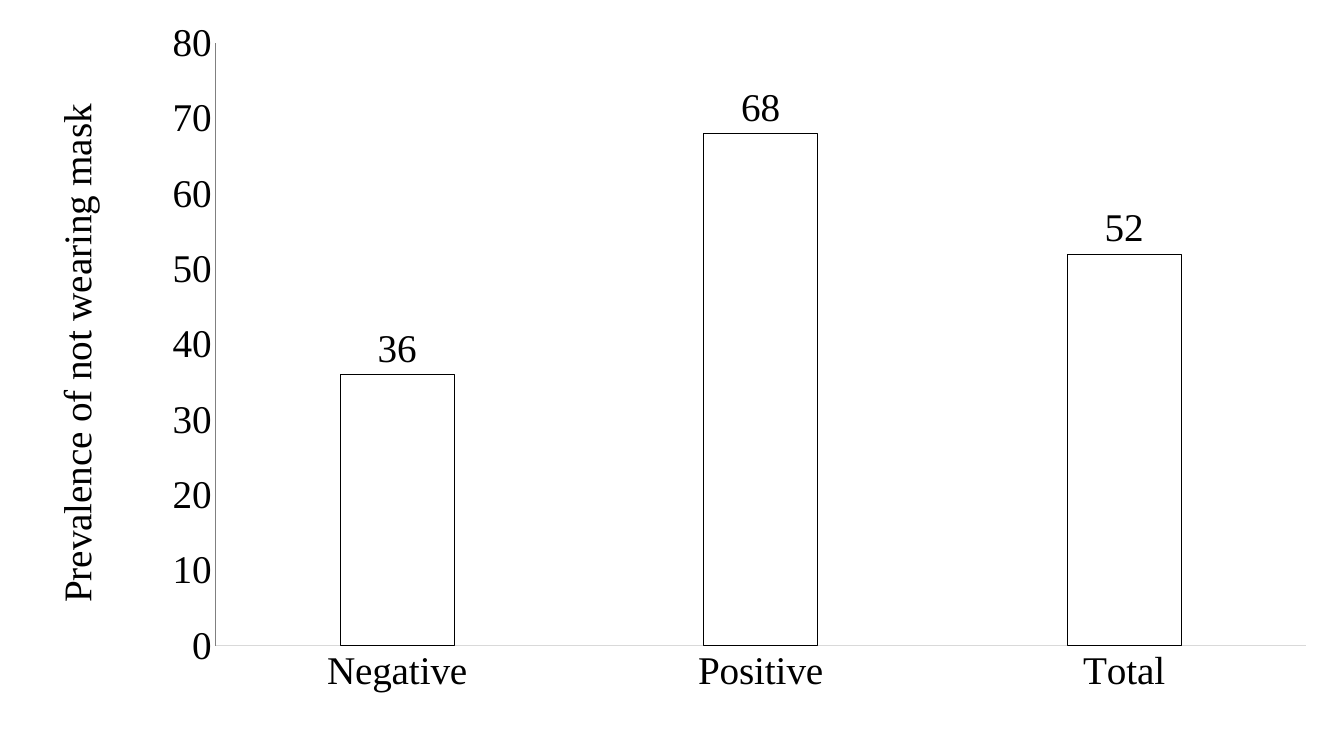
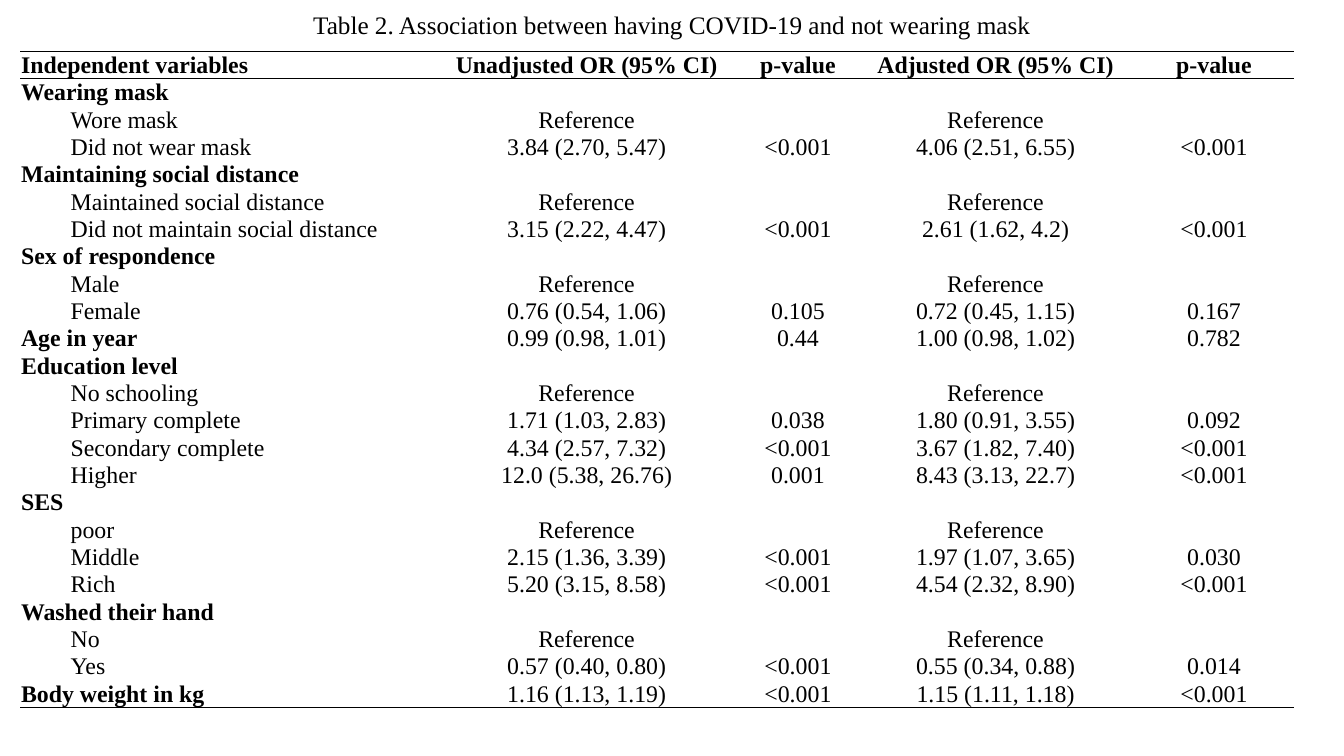
from dataclasses import dataclass
from typing import Any, NamedTuple

from lxml.etree import SubElement
from pptx import Presentation
from pptx.chart.data import CategoryChartData
from pptx.dml.color import RGBColor
from pptx.enum.chart import XL_CHART_TYPE as ChartType
from pptx.enum.chart import XL_LABEL_POSITION as LabelPosition
from pptx.enum.chart import XL_TICK_MARK as TickMark
from pptx.enum.text import MSO_ANCHOR as Anchor
from pptx.enum.text import PP_ALIGN as Align
from pptx.oxml.ns import qn
from pptx.util import Cm, Pt


@dataclass(frozen=True)
class Theme:
    face: str = "Times New Roman"
    ink: str = "000000"
    paper: str = "FFFFFF"
    value_line: str = "808080"
    category_line: str = "D9D9D9"
    chart_size: int = 28
    title_size: int = 18
    table_size: int = 17
    thin: float = 0.75
    rule: float = 1


class Box(NamedTuple):
    left: float
    top: float
    width: float
    height: float

    def lengths(self) -> list[Cm]:
        return [Cm(value) for value in self]


class Row(NamedTuple):
    label: str
    unadjusted: str = ""
    unadjusted_p: str = ""
    adjusted: str = ""
    adjusted_p: str = ""
    indented: bool = False


def level(label: str, *results: str) -> Row:
    values = results or ("Reference", "", "Reference", "")
    return Row(label, *values, indented=True)


THEME = Theme()
CHART_BOX = Box(0.61, 0.36, 32.69, 17.83)
PLOT_BOX = Box(4.82, 0.73, 27.48, 15.19)
AXIS_TITLE_CORNER = (0.52, 2.09)
TITLE_BOX = Box(0, 0, 33.87, 1.09)
TABLE_LEFT, TABLE_TOP, ROW_HEIGHT = 0.51, 1.29, 0.69
COLUMN_WIDTHS = (1.25, 9.2, 7.65, 3, 6.96, 4.05)
PREVALENCE = {"Negative": 36, "Positive": 68, "Total": 52}
NO_GRID_STYLE = "{2D5ABB26-0587-4C30-8999-92F81FD0307C}"

ROWS = (
    Row("Independent variables", "Unadjusted OR (95% CI)", "p-value",
        "Adjusted OR (95% CI)", "p-value"),
    Row("Wearing mask"),
    level("Wore mask"),
    level("Did not wear mask", "3.84 (2.70, 5.47)", "<0.001", "4.06 (2.51, 6.55)", "<0.001"),
    Row("Maintaining social distance"),
    level("Maintained social distance"),
    level("Did not maintain social distance", "3.15 (2.22, 4.47)", "<0.001",
          "2.61 (1.62, 4.2)", "<0.001"),
    Row("Sex of respondence"),
    level("Male"),
    level("Female", "0.76 (0.54, 1.06)", "0.105", "0.72 (0.45, 1.15)", "0.167"),
    Row("Age in year", "0.99 (0.98, 1.01)", "0.44", "1.00 (0.98, 1.02)", "0.782"),
    Row("Education level"),
    level("No schooling"),
    level("Primary complete", "1.71 (1.03, 2.83)", "0.038", "1.80 (0.91, 3.55)", "0.092"),
    level("Secondary complete", "4.34 (2.57, 7.32)", "<0.001", "3.67 (1.82, 7.40)", "<0.001"),
    level("Higher", "12.0 (5.38, 26.76)", "0.001", "8.43 (3.13, 22.7)", "<0.001"),
    Row("SES"),
    level("poor"),
    level("Middle", "2.15 (1.36, 3.39)", "<0.001", "1.97 (1.07, 3.65)", "0.030"),
    level("Rich", "5.20 (3.15, 8.58)", "<0.001", "4.54 (2.32, 8.90)", "<0.001"),
    Row("Washed their hand"),
    level("No"),
    level("Yes", "0.57 (0.40, 0.80)", "<0.001", "0.55 (0.34, 0.88)", "0.014"),
    Row("Body weight in kg", "1.16 (1.13, 1.19)", "<0.001", "1.15 (1.11, 1.18)", "<0.001"),
)


def assign(target: Any, values: dict[str, Any]) -> None:
    for name, value in values.items():
        setattr(target, name, value)


def style_font(font: Any, size: float, bold: bool = False) -> None:
    assign(font, {"name": THEME.face, "size": Pt(size), "bold": bold})
    font.color.rgb = RGBColor.from_string(THEME.ink)


def style_line(line: Any, color: str) -> None:
    line.color.rgb = RGBColor.from_string(color)
    line.width = Pt(THEME.thin)


def place_in_chart(parent: Any, position: int, area: tuple[float, ...]) -> None:
    previous = parent.find(qn("c:layout"))
    if previous is not None:
        parent.remove(previous)
    layout = parent.makeelement(qn("c:layout"), {})
    parent.insert(position, layout)
    manual = SubElement(layout, qn("c:manualLayout"))
    values = {"layoutTarget": "inner"} if len(area) == 4 else {}
    values |= {"xMode": "edge", "yMode": "edge"}
    extents = (CHART_BOX.width, CHART_BOX.height) * 2
    for tag, length, extent in zip("xywh", area, extents):
        values[tag] = str(length / extent)
    for tag, value in values.items():
        SubElement(manual, qn(f"c:{tag}")).set("val", value)


def style_axis(axis: Any, line_color: str) -> None:
    assign(axis, {
        "has_major_gridlines": False,
        "major_tick_mark": TickMark.NONE,
        "minor_tick_mark": TickMark.NONE,
    })
    style_font(axis.tick_labels.font, THEME.chart_size)
    style_line(axis.format.line, line_color)


def add_prevalence_chart(slide: Any) -> None:
    data = CategoryChartData(number_format="0")
    data.categories = list(PREVALENCE)
    data.add_series("Series 1", list(PREVALENCE.values()))
    frame = slide.shapes.add_chart(ChartType.COLUMN_CLUSTERED, *CHART_BOX.lengths(), data)
    chart = frame.chart
    assign(chart, {"has_title": False, "has_legend": False})
    style_font(chart.font, THEME.chart_size)

    style_axis(chart.category_axis, THEME.category_line)
    prevalence_axis = chart.value_axis
    style_axis(prevalence_axis, THEME.value_line)
    assign(prevalence_axis, {"minimum_scale": 0, "maximum_scale": 80, "major_unit": 10})
    assign(prevalence_axis.tick_labels, {"number_format": "0", "number_format_is_linked": False})
    axis_title = prevalence_axis.axis_title
    caption = axis_title.text_frame.paragraphs[0].add_run()
    caption.text = "Prevalence of not wearing mask"
    style_font(caption.font, THEME.chart_size)
    place_in_chart(axis_title._element, 1, AXIS_TITLE_CORNER)

    columns = chart.plots[0]
    assign(columns, {"gap_width": 219, "overlap": -27, "vary_by_categories": False,
                     "has_data_labels": True})
    assign(columns.data_labels, {
        "show_value": True,
        "number_format": "0",
        "number_format_is_linked": False,
        "position": LabelPosition.OUTSIDE_END,
    })
    style_font(columns.data_labels.font, THEME.chart_size)
    bars = columns.series[0].format
    bars.fill.solid()
    bars.fill.fore_color.rgb = RGBColor.from_string(THEME.paper)
    style_line(bars.line, THEME.ink)

    plot_area = chart._chartSpace.find(f".//{qn('c:plotArea')}")
    place_in_chart(plot_area, 0, PLOT_BOX)


def add_title(slide: Any, text: str) -> None:
    title = slide.shapes.title
    assign(title, dict(zip(("left", "top", "width", "height"), TITLE_BOX.lengths())))
    assign(title.text_frame, {"vertical_anchor": Anchor.TOP, "word_wrap": True})
    paragraph = title.text_frame.paragraphs[0]
    assign(paragraph, {"alignment": Align.CENTER, "line_spacing": 1.15, "space_after": Pt(10)})
    run = paragraph.add_run()
    run.text = text
    style_font(run.font, THEME.title_size)


def rule_cell(cell: Any, edges: tuple[str, ...]) -> None:
    properties = cell._tc.get_or_add_tcPr()
    for position, edge in enumerate(edges):
        line = properties.makeelement(qn(f"a:{edge}"), {"w": str(Pt(THEME.rule))})
        properties.insert(position, line)
        fill = SubElement(line, qn("a:solidFill"))
        SubElement(fill, qn("a:srgbClr")).set("val", THEME.ink)


def fill_cell(cell: Any, text: str, align: Align, bold: bool) -> None:
    cell.fill.background()
    assign(cell, {"vertical_anchor": Anchor.BOTTOM, "margin_left": Cm(0.02),
                  "margin_right": Cm(0.02), "margin_top": 0, "margin_bottom": 0})
    paragraph = cell.text_frame.paragraphs[0]
    paragraph.alignment = align
    if text:
        run = paragraph.add_run()
        run.text = text
        style_font(run.font, THEME.table_size, bold)
    else:
        ending = SubElement(paragraph._p, qn("a:endParaRPr"))
        ending.set("sz", str(THEME.table_size * 100))
        SubElement(ending, qn("a:latin")).set("typeface", THEME.face)


def add_association_table(slide: Any) -> None:
    box = Box(TABLE_LEFT, TABLE_TOP, sum(COLUMN_WIDTHS), ROW_HEIGHT * len(ROWS))
    table = slide.shapes.add_table(len(ROWS), len(COLUMN_WIDTHS), *box.lengths()).table
    assign(table, {"first_row": False, "horz_banding": False})
    table._tbl.tblPr.find(qn("a:tableStyleId")).text = NO_GRID_STYLE
    for column, width in zip(table.columns, COLUMN_WIDTHS):
        column.width = Cm(width)

    edges = {0: ("lnT", "lnB"), len(ROWS) - 1: ("lnB",)}
    for index, row in enumerate(ROWS):
        table.rows[index].height = Cm(ROW_HEIGHT)
        labels = ("", row.label) if row.indented else (row.label, "")
        results = (row.unadjusted, row.unadjusted_p, row.adjusted, row.adjusted_p)
        for position, text in enumerate(labels + results):
            is_label = position < len(labels)
            cell = table.cell(index, position)
            fill_cell(cell, text, Align.LEFT if is_label else Align.CENTER,
                      index == 0 or (is_label and not row.indented))
            rule_cell(cell, edges.get(index, ()))
        if not row.indented:
            table.cell(index, 0).merge(table.cell(index, 1))


def main() -> None:
    deck = Presentation()
    assign(deck, {"slide_width": Cm(33.87), "slide_height": Cm(19.05)})
    title_only, blank = deck.slide_layouts[5], deck.slide_layouts[6]

    add_prevalence_chart(deck.slides.add_slide(blank))

    association = deck.slides.add_slide(title_only)
    add_title(association, "Table 2. Association between having COVID-19 and not wearing mask")
    add_association_table(association)
    deck.save("out.pptx")


if __name__ == "__main__":
    main()
